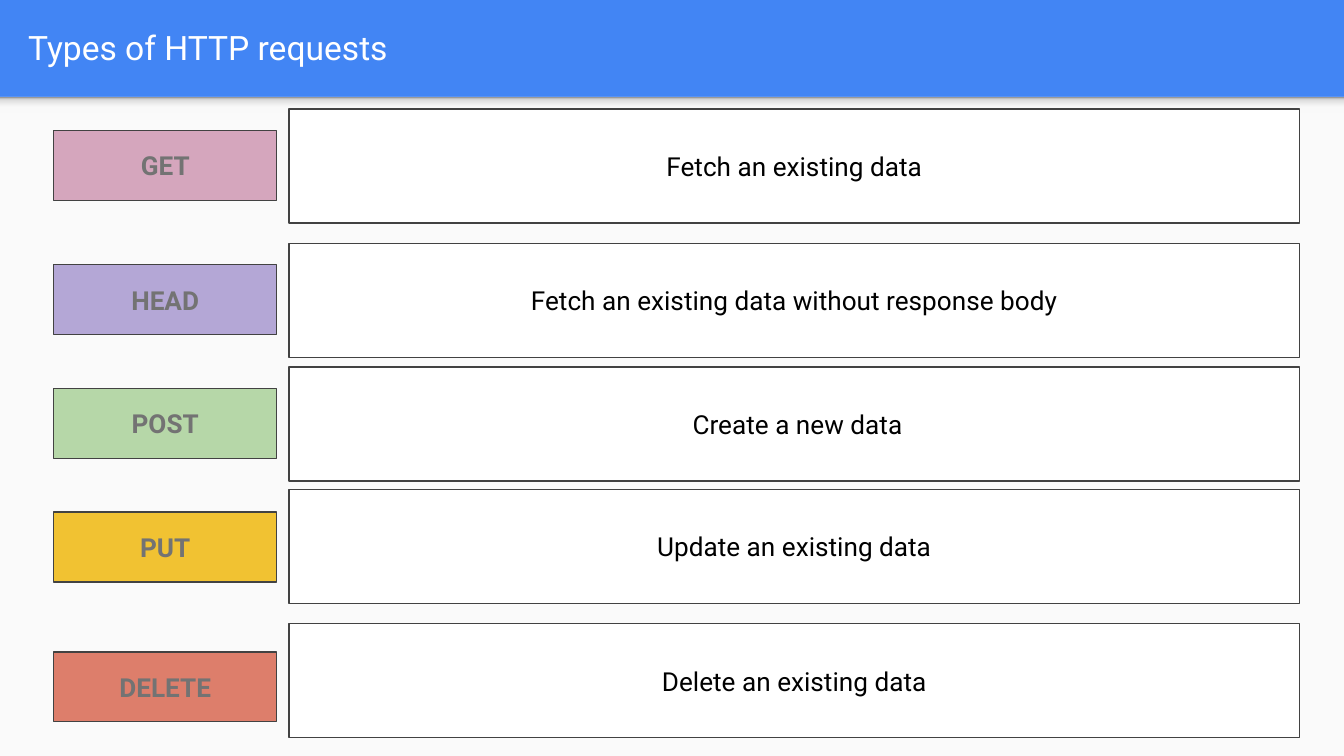
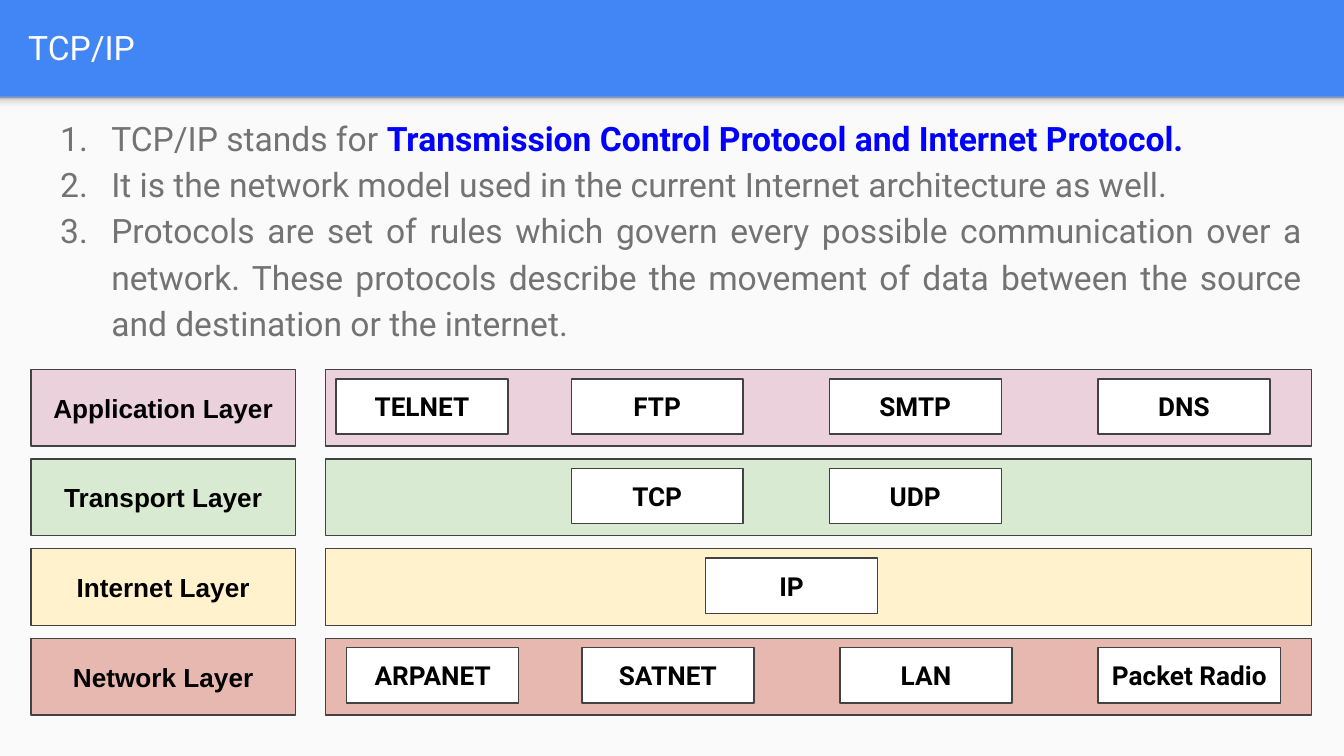
from pptx import Presentation
from pptx.dml.color import RGBColor
from pptx.enum import shapes, text
from pptx.oxml import parse_xml
from pptx.oxml.ns import nsdecls, qn
from pptx.util import Inches, Pt

BLUE = RGBColor(0x42, 0x85, 0xF4)
PAPER = RGBColor(0xFA, 0xFA, 0xFA)
WHITE = RGBColor(0xFF, 0xFF, 0xFF)
BLACK = RGBColor(0, 0, 0)
GREY = RGBColor(0x73, 0x73, 0x73)
OUTLINE = RGBColor(0x42, 0x42, 0x42)
EMPHASIS = RGBColor(0, 0, 0xFF)
PINK = RGBColor(0xD5, 0xA6, 0xBD)
PURPLE = RGBColor(0xB4, 0xA7, 0xD6)
GREEN = RGBColor(0xB6, 0xD7, 0xA8)
YELLOW = RGBColor(0xF1, 0xC2, 0x32)
RED = RGBColor(0xDD, 0x7E, 0x6B)
PALE_PINK = RGBColor(0xEA, 0xD1, 0xDC)
PALE_GREEN = RGBColor(0xD9, 0xEA, 0xD3)
PALE_YELLOW = RGBColor(0xFF, 0xF2, 0xCC)
PALE_RED = RGBColor(0xE6, 0xB8, 0xAF)

SLIDE_W = 10
SLIDE_H = SLIDE_W * 9 / 16
HEADER_H = 0.72
HEADER_SHADE = [(0, "F9F9F9"), (36, "F9F9F9"), (80, "DEDEDE"), (100, "999999")]

# method, colour, meaning, top of the meaning box, drop of the method box
REQUESTS = [
    ("GET", PINK, "Fetch an existing data", 0.81, 0.16),
    ("HEAD", PURPLE, "Fetch an existing data without response body", 1.81, 0.16),
    ("POST", GREEN, " Create a new data", 2.73, 0.16),
    ("PUT", YELLOW, "Update an existing data", 3.64, 0.17),
    ("DELETE", RED, "Delete an existing data", 4.64, 0.21),
]

# each point is a list of (words, emphasised)
TCP_IP_POINTS = [
    [("TCP/IP stands for ", False),
     ("Transmission Control Protocol and Internet Protocol. ", True)],
    [("It is the network model used in the current Internet architecture as well.", False)],
    [("Protocols are set of rules which govern every possible communication over a "
      "network. These protocols describe the movement of data between the source "
      "and destination or the internet.", False)],
]

# layer, colour, protocols as (name, left, width)
LAYERS = [
    ("Application Layer", PALE_PINK, [("TELNET", 2.5, 1.28), ("FTP", 4.25, 1.28),
                                      ("SMTP", 6.17, 1.28), ("DNS", 8.17, 1.28)]),
    ("Transport Layer", PALE_GREEN, [("TCP", 4.25, 1.28), ("UDP", 6.17, 1.28)]),
    ("Internet Layer", PALE_YELLOW, [("IP", 5.25, 1.28)]),
    ("Network Layer", PALE_RED, [("ARPANET", 2.58, 1.28), ("SATNET", 4.33, 1.28),
                                 ("LAN", 6.25, 1.28), ("Packet Radio", 8.17, 1.36)]),
]
LAYERS_TOP, LAYER_PITCH, LAYER_H = 2.75, 2 / 3, 0.57
PROTOCOL_DROP, PROTOCOL_H = 0.07, 0.41


def set_frame(frame, anchor):
    frame.word_wrap = True
    frame.auto_size = text.MSO_AUTO_SIZE.NONE
    frame.vertical_anchor = anchor
    frame.margin_left = frame.margin_right = Inches(0.1)
    frame.margin_top = frame.margin_bottom = Inches(0.1)


def set_font(font, size, color, bold=False, name="Roboto"):
    font.name, font.size, font.bold = name, Pt(size), bold
    font.color.rgb = color


def add_rect(slide, left, top, width, height):
    rect = slide.shapes.add_shape(
        shapes.MSO_SHAPE.RECTANGLE, *map(Inches, (left, top, width, height)))
    rect.shadow.inherit = False
    return rect


def add_box(slide, place, fill, label="", color=BLACK, bold=True, font="Roboto"):
    """Add an outlined rectangle, with a centred label if one is given."""
    box = add_rect(slide, *place)
    box.fill.solid()
    box.fill.fore_color.rgb = fill
    box.line.color.rgb = OUTLINE
    box.line.width = Pt(0.75)
    if label:
        set_frame(box.text_frame, text.MSO_ANCHOR.MIDDLE)
        paragraph = box.text_frame.paragraphs[0]
        paragraph.text = label
        paragraph.alignment = text.PP_ALIGN.CENTER
        set_font(paragraph.font, 14, color, bold, font)


def build_header(layout, slide):
    """Give the layout its blue header, pale panel and header shade."""
    layout.background.fill.solid()
    layout.background.fill.fore_color.rgb = BLUE

    panel = add_rect(slide, 0, HEADER_H, SLIDE_W, SLIDE_H - HEADER_H)
    panel.fill.solid()
    panel.fill.fore_color.rgb = PAPER

    shade = add_rect(slide, 0, HEADER_H, SLIDE_W, 0.12)
    stops = "".join(f'<a:gs pos="{pos * 1000}"><a:srgbClr val="{color}"/></a:gs>'
                    for pos, color in HEADER_SHADE)
    shade.element.spPr.find(qn("a:prstGeom")).addnext(parse_xml(
        f'<a:gradFill {nsdecls("a")}><a:gsLst>{stops}</a:gsLst>'
        '<a:lin ang="16200000" scaled="0"/></a:gradFill>'))

    # Moving the shapes to the layout puts them behind every slide's content.
    for index, part in enumerate((panel, shade), start=2):
        part.line.fill.background()
        layout.shapes.element.insert(index, part.element)


def set_title(slide, words):
    title = slide.shapes.title
    title.left, title.top, title.width, title.height = map(
        Inches, (0.11, 0.02, 9.65, 0.66))
    set_frame(title.text_frame, text.MSO_ANCHOR.MIDDLE)
    paragraph = title.text_frame.paragraphs[0]
    paragraph.text = words
    paragraph.alignment = text.PP_ALIGN.LEFT
    set_font(paragraph.font, 18, WHITE)


def add_numbered_list(slide, place, points):
    frame = slide.shapes.add_textbox(*map(Inches, place)).text_frame
    set_frame(frame, text.MSO_ANCHOR.TOP)
    for index, point in enumerate(points):
        paragraph = frame.add_paragraph() if index else frame.paragraphs[0]
        paragraph.alignment = text.PP_ALIGN.JUSTIFY
        paragraph.line_spacing = 1.15
        properties = paragraph._p.get_or_add_pPr()
        properties.set("marL", str(Inches(0.5)))
        properties.set("indent", str(Inches(-0.38)))
        for bullet in (f'<a:buClr {nsdecls("a")}><a:srgbClr val="{GREY}"/></a:buClr>',
                       f'<a:buFont {nsdecls("a")} typeface="Roboto"/>',
                       f'<a:buAutoNum {nsdecls("a")} type="arabicPeriod"/>'):
            properties.append(parse_xml(bullet))
        for words, emphasised in point:
            run = paragraph.add_run()
            run.text = words
            set_font(run.font, 18, EMPHASIS if emphasised else GREY, emphasised)


def fill_requests(slide):
    set_title(slide, "Types of HTTP requests")
    for method, color, _, top, drop in REQUESTS:
        add_box(slide, (0.4, top + drop, 1.66, 0.52), color, method, GREY)
    for _, _, meaning, top, _ in REQUESTS:
        add_box(slide, (2.15, top, 7.52, 0.85), WHITE, meaning, bold=False)


def fill_tcp_ip(slide):
    set_title(slide, "TCP/IP")
    add_numbered_list(slide, (0.23, 0.73, 9.56, 1.94), TCP_IP_POINTS)
    for row, (layer, color, protocols) in enumerate(LAYERS):
        top = LAYERS_TOP + row * LAYER_PITCH
        add_box(slide, (2.42, top, 7.34, LAYER_H), color)
        add_box(slide, (0.23, top, 1.97, LAYER_H), color, layer, font="Arial")
        for protocol, left, width in protocols:
            add_box(slide, (left, top + PROTOCOL_DROP, width, PROTOCOL_H), WHITE, protocol)


def main():
    deck = Presentation()
    deck.slide_width, deck.slide_height = Inches(SLIDE_W), Inches(SLIDE_H)
    title_only = deck.slide_layouts[5]
    requests = deck.slides.add_slide(title_only)
    tcp_ip = deck.slides.add_slide(title_only)
    build_header(title_only, requests)
    fill_requests(requests)
    fill_tcp_ip(tcp_ip)
    deck.save("out.pptx")


if __name__ == "__main__":
    main()
